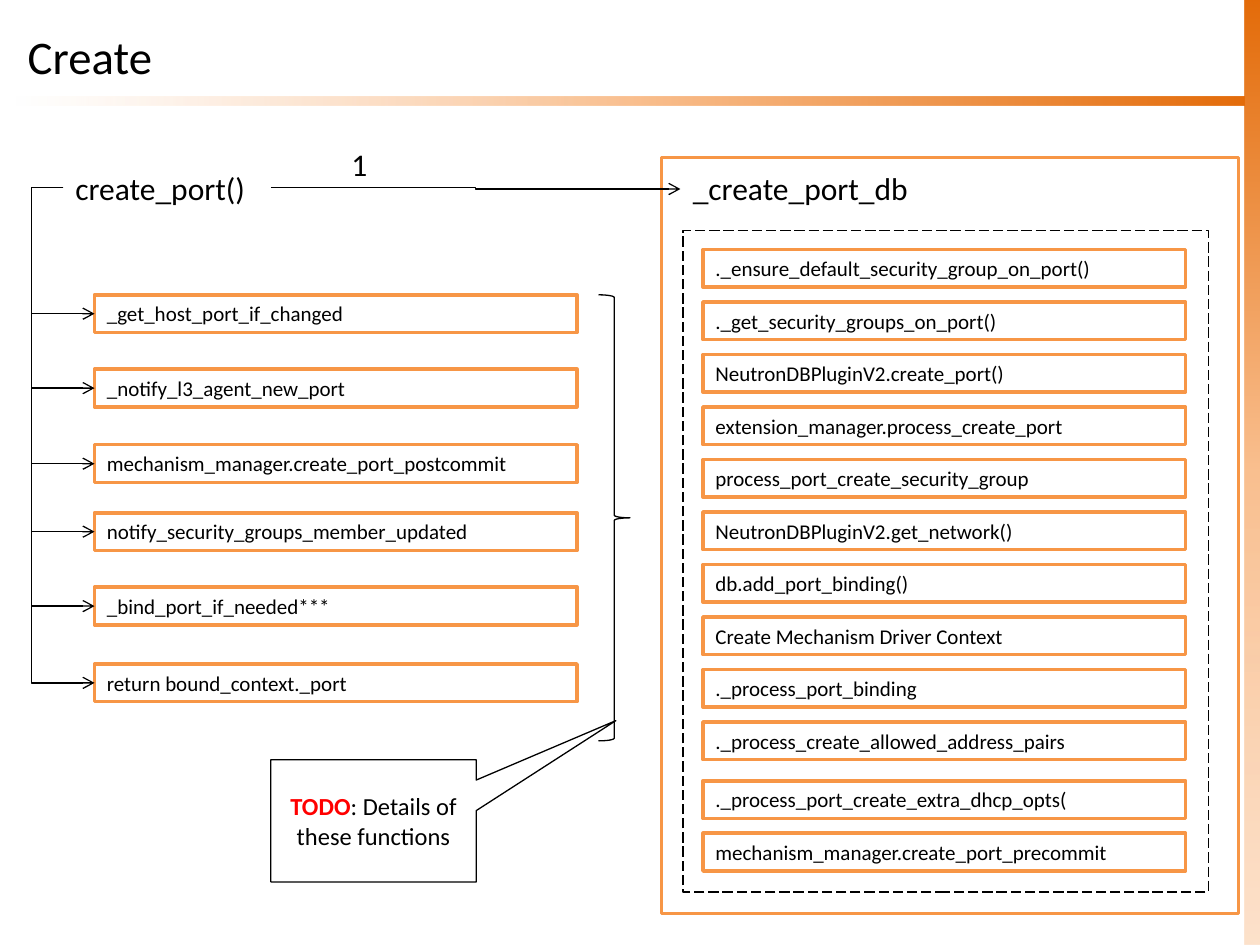
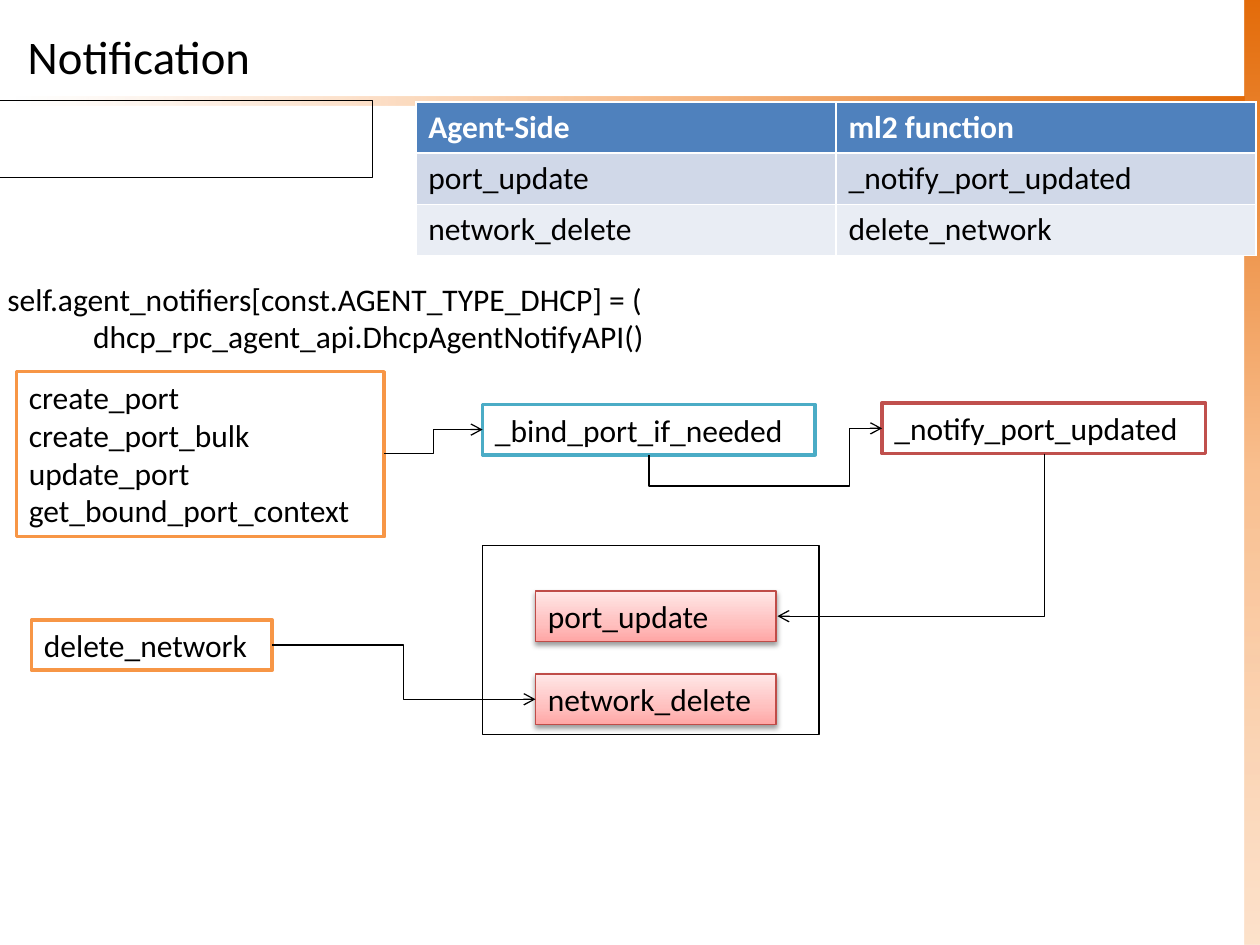
from lxml.etree import SubElement
from pptx import Presentation
from pptx.dml.color import RGBColor
from pptx.enum.dml import MSO_LINE
from pptx.enum.shapes import MSO_CONNECTOR, MSO_SHAPE
from pptx.enum.text import MSO_ANCHOR, PP_ALIGN
from pptx.oxml.ns import qn
from pptx.util import Inches, Pt

FONT = "Calibri"
COLORS = {
    "text": "000000", "paper": "FFFFFF", "alert": "FF0000",
    "orange": "F79646", "teal": "4BACC6", "red": "C0504D", "pink_edge": "BF4C48",
    "band_dark": "E46C0A", "band_mid": "FAC090", "band_light": "FCD5B5",
    "pink_dark": "FFA6A5", "pink_mid": "FFC0BF", "pink_light": "FFE7E7",
    "header": "4F81BD", "odd_row": "D0D8E8", "even_row": "E9EDF4",
}
DATABASE_CALLS = [
    "._ensure_default_security_group_on_port()",
    "._get_security_groups_on_port()",
    "NeutronDBPluginV2.create_port()",
    "extension_manager.process_create_port",
    "process_port_create_security_group",
    "NeutronDBPluginV2.get_network()",
    "db.add_port_binding()",
    "Create Mechanism Driver Context",
    "._process_port_binding",
    "._process_create_allowed_address_pairs",
    "._process_port_create_extra_dhcp_opts(",
    "mechanism_manager.create_port_precommit",
]
PORT_CALLS = [
    ("_get_host_port_if_changed", 1.05),
    ("_notify_l3_agent_new_port", 1.64),
    ("mechanism_manager.create_port_postcommit", 2.24),
    ("notify_security_groups_member_updated", 2.78),
    ("_bind_port_if_needed***", 3.37),
    ("return bound_context._port", 3.98),
]
NOTIFICATION_ROWS = [
    ("Agent-Side", "ml2 function"),
    ("port_update", "_notify_port_updated"),
    ("network_delete", "delete_network"),
]


def color(name):
    return RGBColor.from_string(COLORS[name])


def format_runs(paragraph, size, color_name="text", bold=False):
    for run in paragraph.runs:
        run.font.name = FONT
        run.font.size = Pt(size)
        run.font.bold = bold
        run.font.color.rgb = color(color_name)


def write(shape, text, size, wrap=True):
    frame = shape.text_frame
    frame.text = text
    frame.word_wrap = wrap
    frame.vertical_anchor = MSO_ANCHOR.TOP
    for paragraph in frame.paragraphs:
        paragraph.alignment = PP_ALIGN.LEFT
        format_runs(paragraph, size)


def add_box(slide, box, line=None, width=0.75, fill=None, kind=MSO_SHAPE.RECTANGLE):
    shape = slide.shapes.add_shape(kind, *map(Inches, box))
    shape.shadow.inherit = False
    if fill:
        shape.fill.solid()
        shape.fill.fore_color.rgb = color(fill)
    else:
        shape.fill.background()
    if line:
        shape.line.color.rgb = color(line)
        shape.line.width = Pt(width)
    else:
        shape.line.fill.background()
    return shape


def add_call(slide, box, text, size=18, line="orange", wrap=False):
    shape = add_box(slide, box, line, 2, "paper")
    write(shape, text, size, wrap)


def add_label(slide, box, text, wrap=False):
    label = slide.shapes.add_textbox(*map(Inches, box))
    write(label, text, 18, wrap)
    return label


def set_gradient(shape, stops, angle):
    properties = shape._element.spPr
    gradient = SubElement(properties, qn("a:gradFill"), rotWithShape="1")
    stop_list = SubElement(gradient, qn("a:gsLst"))
    for position, name, alpha in stops:
        stop = SubElement(stop_list, qn("a:gs"), pos=str(position * 1000))
        shade = SubElement(stop, qn("a:srgbClr"), val=COLORS[name])
        if alpha < 100:
            SubElement(shade, qn("a:alpha"), val=str(alpha * 1000))
    SubElement(gradient, qn("a:lin"), ang=str(angle * 60000), scaled="0")
    properties.replace(properties.find(qn("a:noFill")), gradient)


def add_elbow(slide, begin, end, preset="bentConnector3", bends=(), turned=False):
    (x1, y1), (x2, y2) = begin, end
    if turned:
        center_x, center_y = (x1 + x2) / 2, (y1 + y2) / 2
        half_x, half_y = (y2 - y1) / 2, (x1 - x2) / 2
        x1, x2 = center_x - half_x, center_x + half_x
        y1, y2 = center_y - half_y, center_y + half_y
    connector = slide.shapes.add_connector(
        MSO_CONNECTOR.ELBOW, *map(Inches, (x1, y1, x2, y2)))
    connector.line.color.rgb = color("text")
    connector.line.width = Pt(0.75)
    properties = connector._element.spPr
    if turned:
        properties.find(qn("a:xfrm")).set("rot", "5400000")
    geometry = properties.find(qn("a:prstGeom"))
    geometry.set("prst", preset)
    guides = geometry.find(qn("a:avLst"))
    for number, bend in enumerate(bends, 1):
        SubElement(guides, qn("a:gd"), name=f"adj{number}",
                   fmla=f"val {round(bend * 100000)}")
    SubElement(properties.find(qn("a:ln")), qn("a:tailEnd"), type="arrow")
    SubElement(properties, qn("a:effectLst"))


def prepare_layout(layout, slide):
    for placeholder in list(layout.placeholders):
        if placeholder.placeholder_format.idx:
            placeholder._element.getparent().remove(placeholder._element)
    title = layout.placeholders[0]
    title.left, title.top, title.width, title.height = map(Inches, (0.12, 0.13, 9.76, 0.63))
    bands = [((9.88, 0, 0.12, 7.5), 90, 69), ((0.12, 0.77, 9.76, 0.07), 180, 0)]
    shapes = []
    for box, angle, alpha in bands:
        band = add_box(slide, box)
        stops = [(0, "band_dark", 100), (50, "band_mid", 100), (100, "band_light", alpha)]
        set_gradient(band, stops, angle)
        shapes.append(band)
    for band in shapes:
        title._element.addprevious(band._element)


def set_title(slide, text):
    write(slide.shapes.title, text, 26.7)
    slide.shapes.title.text_frame.vertical_anchor = MSO_ANCHOR.MIDDLE


def add_database_panel(slide, left, top):
    add_box(slide, (left, top, 4.58, 6), "orange", 2, "paper")
    for index, text in enumerate(DATABASE_CALLS):
        extra_gap = 0.05 if index >= 10 else 0
        call_top = top + 0.73 + index * 5 / 12 + extra_gap
        add_call(slide, (left + 0.33, call_top, 3.83, 0.3), text, 12, wrap=True)
    frame = add_box(slide, (left + 0.17, top + 0.58, 4.17, 5.25), "text")
    frame.line.dash_style = MSO_LINE.LONG_DASH
    add_label(slide, (left + 0.15, top + 0.04, 2.04, 0.4), "_create_port_db")


def add_call_tree(slide, left, top):
    add_label(slide, (left, top, 1.65, 0.4), "create_port()")
    for text, offset in PORT_CALLS:
        add_call(slide, (left + 0.25, top + offset, 3.83, 0.3), text, 12, wrap=True)
        add_elbow(slide, (left, top + 0.2), (left + 0.25, top + offset + 0.15), bends=[-1])
    add_elbow(slide, (left + 1.65, top + 0.2), (left + 4.9, top + 0.21))
    add_label(slide, (left + 2.19, top - 0.19, 0.34, 0.4), "1")
    add_box(slide, (left + 4.25, top + 1.05, 0.25, 3.54), "text", kind=MSO_SHAPE.RIGHT_BRACE)


def add_todo_callout(slide, box):
    callout = add_box(slide, box, "text", kind=MSO_SHAPE.RECTANGULAR_CALLOUT)
    callout.adjustments[0] = 1.18
    callout.adjustments[1] = -0.82
    write(callout, "TODO", 14)
    callout.text_frame.vertical_anchor = MSO_ANCHOR.MIDDLE
    paragraph = callout.text_frame.paragraphs[0]
    paragraph.alignment = PP_ALIGN.CENTER
    paragraph.add_run().text = ": Details of these functions"
    format_runs(paragraph, 14)
    todo = paragraph.runs[0].font
    todo.bold = True
    todo.color.rgb = color("alert")


def add_notifier_code(slide, box):
    code = add_label(
        slide, box,
        "self.agent_notifiers[const.AGENT_TYPE_DHCP] = (\n"
        "dhcp_rpc_agent_api.DhcpAgentNotifyAPI()", wrap=True)
    second_line = code.text_frame.paragraphs[1]._p.get_or_add_pPr()
    second_line.set("marL", str(Inches(0.68)))
    second_line.set("indent", "0")


def add_notification_table(slide, box):
    table = slide.shapes.add_table(3, 2, *map(Inches, box)).table
    fills = ["header", "odd_row", "even_row"]
    for row, (texts, fill) in enumerate(zip(NOTIFICATION_ROWS, fills)):
        for column, text in enumerate(texts):
            cell = table.cell(row, column)
            cell.text = text
            cell.fill.solid()
            cell.fill.fore_color.rgb = color(fill)
            is_header = row == 0
            format_runs(cell.text_frame.paragraphs[0], 18,
                        "paper" if is_header else "text", is_header)


def add_agent_event(slide, box, text):
    event = add_box(slide, box, "pink_edge")
    set_gradient(event, [(0, "pink_dark", 100), (35, "pink_mid", 100),
                         (100, "pink_light", 100)], 270)
    effects = event._element.spPr.find(qn("a:effectLst"))
    shadow = SubElement(effects, qn("a:outerShdw"), blurRad=str(Pt(3.1)),
                        dist=str(Pt(1.6)), dir="5400000", rotWithShape="0")
    shade = SubElement(shadow, qn("a:srgbClr"), val=COLORS["text"])
    SubElement(shade, qn("a:alpha"), val="38000")
    write(event, text, 18, wrap=False)


def add_notification_flow(slide, left, top):
    def at(x, y):
        return left + x, top + y

    add_call(slide, (*at(3.7, 0.26), 2.64, 0.4), "_bind_port_if_needed", line="teal")
    add_call(slide, (*at(6.87, 0.25), 2.57, 0.4), "_notify_port_updated", line="red")
    add_call(slide, (*at(0, 0), 2.92, 1.31),
             "create_port\ncreate_port_bulk\nupdate_port\nget_bound_port_context")
    add_call(slide, (*at(0.12, 1.97), 1.91, 0.4), "delete_network")
    add_agent_event(slide, (*at(4.12, 1.74), 1.91, 0.4), "port_update")
    add_agent_event(slide, (*at(4.12, 2.4), 1.91, 0.4), "network_delete")
    add_box(slide, (*at(3.7, 1.38), 2.67, 1.5), "text")
    add_elbow(slide, at(2.92, 0.65), at(3.7, 0.46))
    add_elbow(slide, at(5.02, 0.66), at(6.87, 0.45), "bentConnector4", [-1.18, 0.86], True)
    add_elbow(slide, at(8.16, 0.65), at(6.04, 1.94), "bentConnector2", turned=True)
    add_elbow(slide, at(2.03, 2.17), at(4.12, 2.6))


def build_create_slide(slide):
    set_title(slide, "Create")
    add_database_panel(slide, 5.25, 1.25)
    add_call_tree(slide, 0.5, 1.29)
    add_todo_callout(slide, (2.15, 6.03, 1.63, 0.97))


def build_notification_slide(slide):
    set_title(slide, "Notification")
    add_notifier_code(slide, (-0.04, 2.17, 6.58, 0.71))
    add_box(slide, (-0.04, 0.8, 3, 0.61), "text")
    add_notification_table(slide, (3.3, 0.81, 6.67, 1.22))
    add_notification_flow(slide, 0.13, 2.95)


def main():
    presentation = Presentation()
    presentation.slide_width = Inches(10)
    presentation.slide_height = Inches(7.5)
    layout = presentation.slide_layouts[5]
    create_slide = presentation.slides.add_slide(layout)
    prepare_layout(layout, create_slide)
    build_create_slide(create_slide)
    build_notification_slide(presentation.slides.add_slide(layout))
    presentation.save("out.pptx")


if __name__ == "__main__":
    main()
